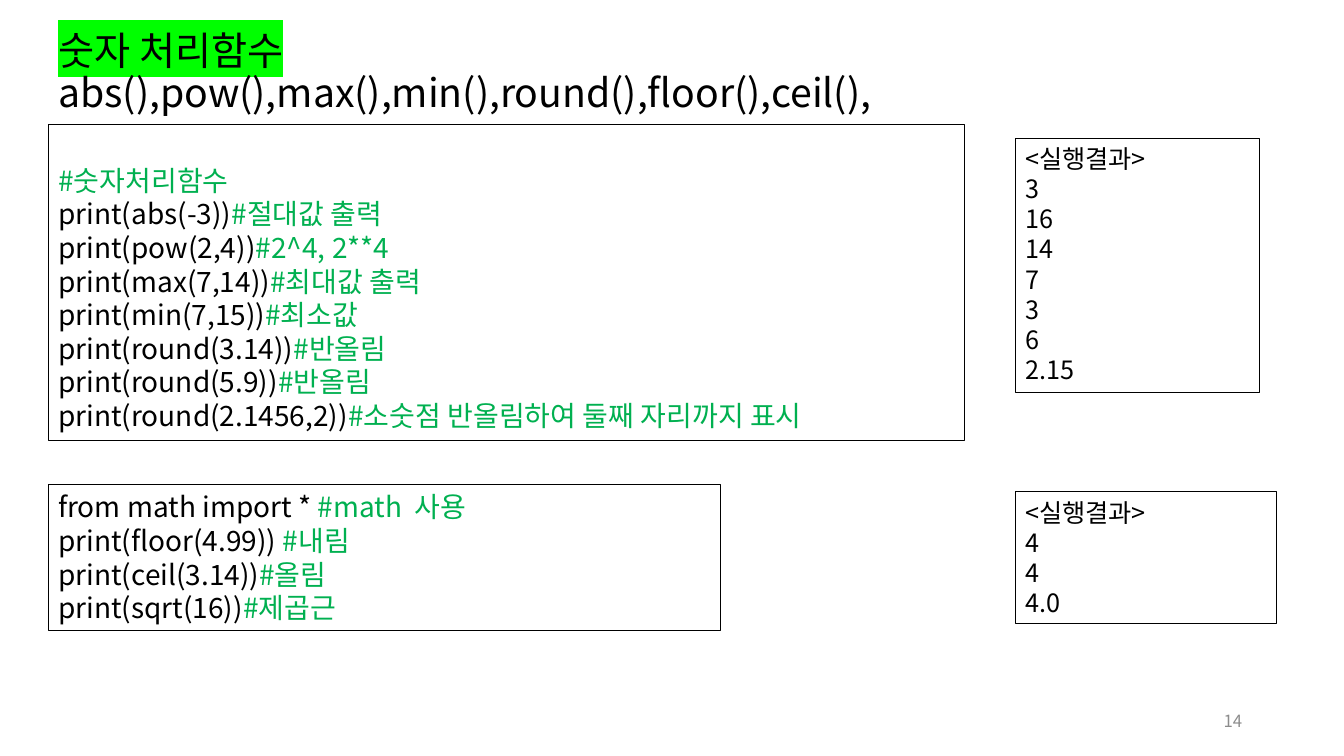
from lxml.etree import SubElement
from pptx import Presentation
from pptx.dml.color import RGBColor
from pptx.enum.shapes import MSO_SHAPE
from pptx.enum.text import MSO_ANCHOR, PP_ALIGN
from pptx.oxml.ns import qn
from pptx.util import Inches, Pt

BLACK = RGBColor(0x00, 0x00, 0x00)
GREEN = RGBColor(0x00, 0xB0, 0x50)
LIME = RGBColor(0x00, 0xFF, 0x00)
GRAY = RGBColor(0x8C, 0x8C, 0x8C)

NUMBERS = """# 숫자처리함수
print(abs(-3))# 절대값 출력
print(pow(2,4))#2^4, 2**4
print(max(7,14))# 최대값 출력
print(min(7,15))# 최소값
print(round(3.14))# 반올림
print(round(5.9))# 반올림
print(round(2.1456,2))# 소숫점 반올림하여 둘째 자리까지 표시""".replace("# ", "#")

MATH = """from math import * #math  사용
print(floor(4.99)) #내림
print(ceil(3.14))#올림
print(sqrt(16))#제곱근"""


class Page:
    """Holds the style and the current slide."""

    font = "Noto Sans CJK KR"

    def __init__(self, deck):
        self.slide = deck.slides.add_slide(deck.slide_layouts[6])

    def run(self, para, text, size, color=BLACK, mark=None):
        run = para.add_run()
        run.text = text
        run.font.size = Pt(size)
        run.font.color.rgb = color
        run.font.name = self.font
        props = run.font._element
        SubElement(props, qn("a:ea")).set("typeface", self.font)
        if mark is not None:
            light = SubElement(props, qn("a:highlight"))
            SubElement(light, qn("a:srgbClr")).set("val", str(mark))
            props.find(qn("a:solidFill")).addnext(light)

    def text(self, left, top, width, height):
        box = self.slide.shapes.add_textbox(
            Inches(left), Inches(top), Inches(width), Inches(height))
        frame = box.text_frame
        frame.word_wrap = True
        frame.vertical_anchor = MSO_ANCHOR.MIDDLE
        return frame.paragraphs[0]

    def title(self, head, names):
        para = self.text(0.48, 0.22, 11.5, 1.02)
        para.line_spacing = 0.9
        self.run(para, head, 28, mark=LIME)
        para.add_line_break()
        self.run(para, names, 28)

    def number(self, text):
        para = self.text(9.42, 6.95, 3, 0.4)
        para.alignment = PP_ALIGN.RIGHT
        self.run(para, text, 12, GRAY)

    def panel(self, left, top, width, height, lines, size, inset=0.05):
        box = self.slide.shapes.add_shape(
            MSO_SHAPE.RECTANGLE,
            Inches(left), Inches(top), Inches(width), Inches(height))
        box.shadow.inherit = False
        box.fill.background()
        box.line.color.rgb = BLACK
        box.line.width = Pt(0.75)
        frame = box.text_frame
        frame.word_wrap = True
        frame.vertical_anchor = MSO_ANCHOR.TOP
        frame.margin_top = Inches(inset)
        for i, line in enumerate(lines):
            para = frame.add_paragraph() if i else frame.paragraphs[0]
            para.alignment = PP_ALIGN.LEFT
            code, sign, note = line.partition("#")
            if code:
                self.run(para, code, size)
            if sign:
                self.run(para, sign + note, size, GREEN)

    def code(self, top, width, height, source, inset=0.05):
        self.panel(0.48, top, width, height, source.splitlines(), 20, inset)

    def result(self, top, width, height, values):
        self.panel(10.07, top, width, height,
                   ["<실행결과>", *values.split()], 18)


def main():
    deck = Presentation()
    deck.slide_width = Inches(13.33)
    deck.slide_height = Inches(7.5)
    page = Page(deck)
    page.title("숫자 처리함수", "abs(),pow(),max(),min(),round(),floor(),ceil(),")
    page.code(1.24, 9.09, 3.13, NUMBERS, 0.38)
    page.code(4.81, 6.67, 1.45, MATH)
    page.result(1.37, 2.42, 2.52, "3 16 14 7 3 6 2.15")
    page.result(4.88, 2.59, 1.31, "4 4 4.0")
    page.number("14")
    deck.save("out.pptx")


if __name__ == "__main__":
    main()
